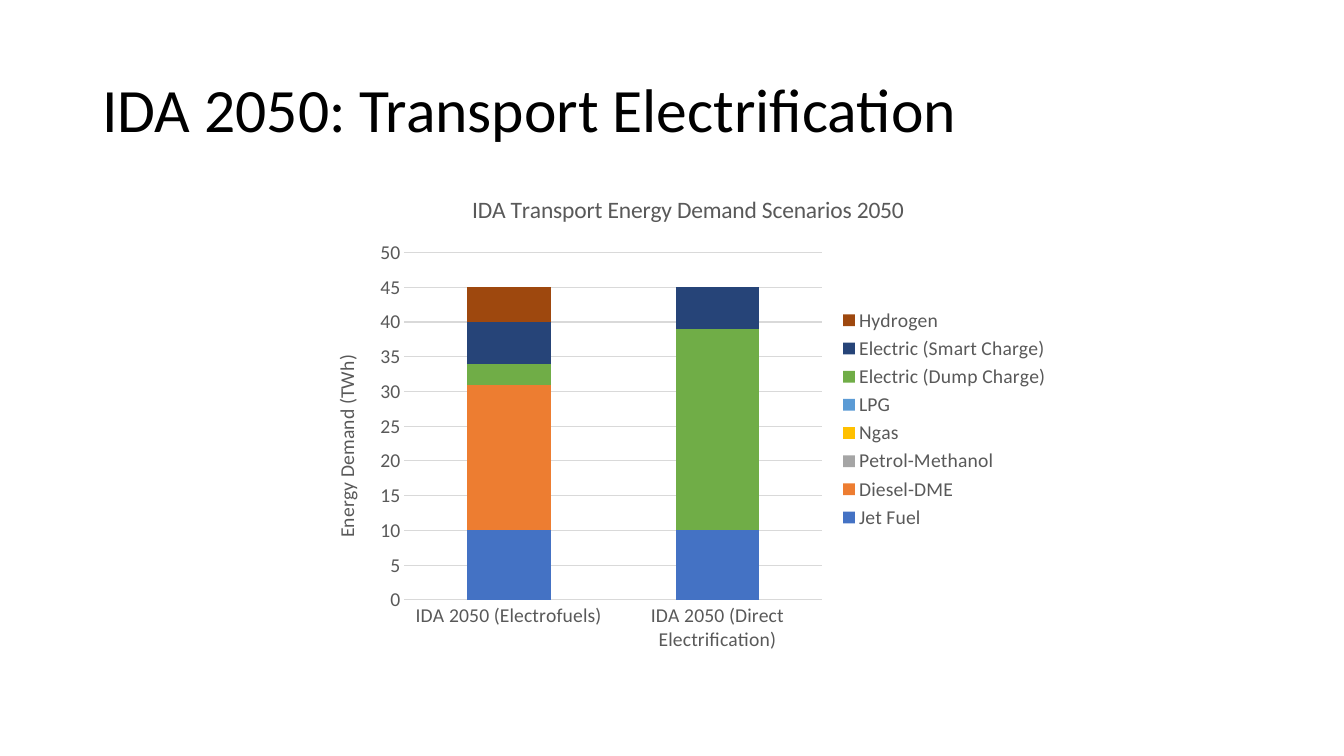
from lxml import etree
from pptx import Presentation
from pptx.chart.data import CategoryChartData
from pptx.dml.color import RGBColor
from pptx.enum.chart import (XL_CHART_TYPE as ChartType, XL_LEGEND_POSITION as LegendPos,
                             XL_TICK_MARK as Tick)
from pptx.enum.text import MSO_ANCHOR as Anchor, PP_ALIGN as Align
from pptx.oxml.ns import qn
from pptx.util import Pt

PX = 9525
FONT = "Calibri"
COLORS = {
    "black": "000000", "text": "595959", "grid": "D9D9D9",
    "blue": "4472C4", "orange": "ED7D31", "gray": "A5A5A5", "yellow": "FFC000",
    "sky": "5B9BD5", "green": "70AD47", "navy": "264478", "brown": "9E480E",
}
CATEGORIES = ["IDA 2050 (Electrofuels)", "IDA 2050 (Direct Electrification)"]
DEMAND = [
    ("Jet Fuel", (10, 10), "blue"),
    ("Diesel-DME", (21, 0), "orange"),
    ("Petrol-Methanol", (0, 0), "gray"),
    ("Ngas", (0, 0), "yellow"),
    ("LPG", (0, 0), "sky"),
    ("Electric (Dump Charge)", (3, 29), "green"),
    ("Electric (Smart Charge)", (6, 6), "navy"),
    ("Hydrogen", (5, 0), "brown"),
]
PLOT_AREA = {"x": 0.12, "y": 0.16, "w": 0.56, "h": 0.71}


def rgb(name):
    return RGBColor.from_string(COLORS[name])


def style_font(font, size=14, color="text", bold=False):
    font.name, font.size, font.bold = FONT, Pt(size), bold
    font.color.rgb = rgb(color)


def write(tf, text, align=None, spacing=None, **style):
    p = tf.paragraphs[0]
    p.alignment, p.line_spacing = align, spacing
    r = p.add_run()
    r.text = text
    style_font(r.font, **style)


def style_line(line):
    line.color.rgb = rgb("grid")
    line.width = Pt(0.75)


def set_plot_area(chart, fractions):
    area = chart._chartSpace.chart.plotArea
    layout = area.find(qn("c:layout"))
    if layout is None:
        layout = etree.Element(qn("c:layout"))
        area.insert(0, layout)
    manual = etree.SubElement(layout, qn("c:manualLayout"))
    settings = {"layoutTarget": "inner", "xMode": "edge", "yMode": "edge", **fractions}
    for tag, value in settings.items():
        etree.SubElement(manual, qn(f"c:{tag}")).set("val", str(value))


def add_title(s, text, x, y, w, h):
    sp = s.shapes.title
    sp.left, sp.top, sp.width, sp.height = (v * PX for v in (x, y, w, h))
    tf = sp.text_frame
    tf.vertical_anchor = Anchor.MIDDLE
    write(tf, text, align=Align.LEFT, spacing=0.9, size=44, color="black")


def add_demand_chart(s, x, y, w, h):
    data = CategoryChartData()
    data.categories = CATEGORIES
    for name, values, _ in DEMAND:
        data.add_series(name, values)
    frame = s.shapes.add_chart(ChartType.COLUMN_STACKED, *(v * PX for v in (x, y, w, h)), data)
    chart = frame.chart
    style_font(chart.font)
    write(chart.chart_title.text_frame, "IDA Transport Energy Demand Scenarios 2050", size=16.8)
    chart.chart_title.include_in_layout = False

    plot = chart.plots[0]
    plot.gap_width, plot.overlap, plot.vary_by_categories = 150, 100, False
    for series, (_, _, color) in zip(plot.series, DEMAND):
        series.format.fill.solid()
        series.format.fill.fore_color.rgb = rgb(color)

    for axis in (chart.category_axis, chart.value_axis):
        axis.major_tick_mark = axis.minor_tick_mark = Tick.NONE
        style_font(axis.tick_labels.font)
    style_line(chart.category_axis.format.line)
    energy = chart.value_axis
    energy.minimum_scale, energy.maximum_scale, energy.major_unit = 0, 50, 5
    energy.format.line.fill.background()
    style_line(energy.major_gridlines.format.line)
    write(energy.axis_title.text_frame, "Energy Demand (TWh)")

    chart.has_legend = True
    chart.legend.position = LegendPos.RIGHT
    chart.legend.include_in_layout = False
    style_font(chart.legend.font)
    set_plot_area(chart, PLOT_AREA)


def main():
    prs = Presentation()
    prs.slide_width, prs.slide_height = 1280 * PX, 720 * PX
    s = prs.slides.add_slide(prs.slide_layouts[5])
    add_title(s, "IDA 2050: Transport Electrification", 88, 38, 1192, 139)
    add_demand_chart(s, 300, 166, 710, 466)
    prs.save("out.pptx")


if __name__ == "__main__":
    main()
